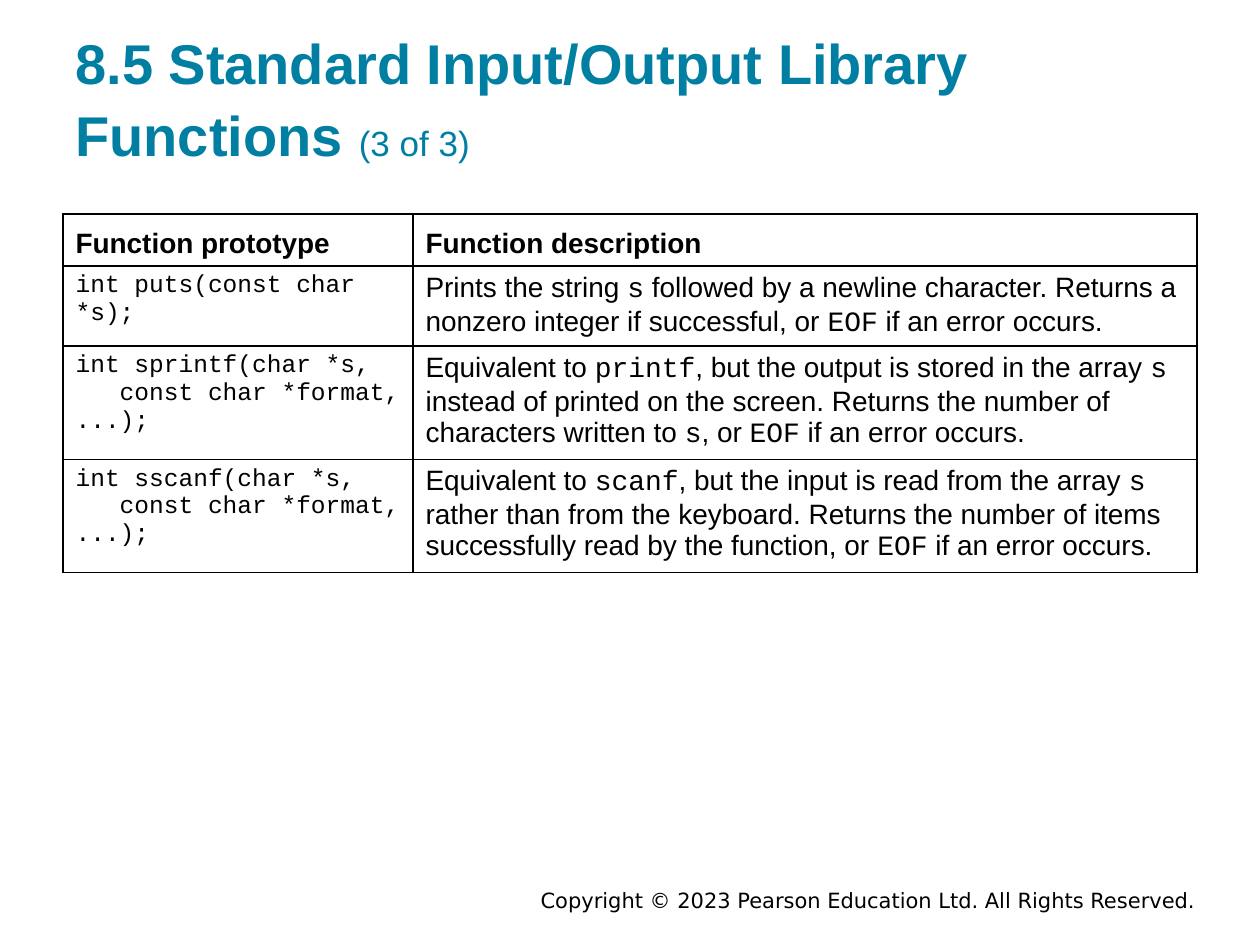
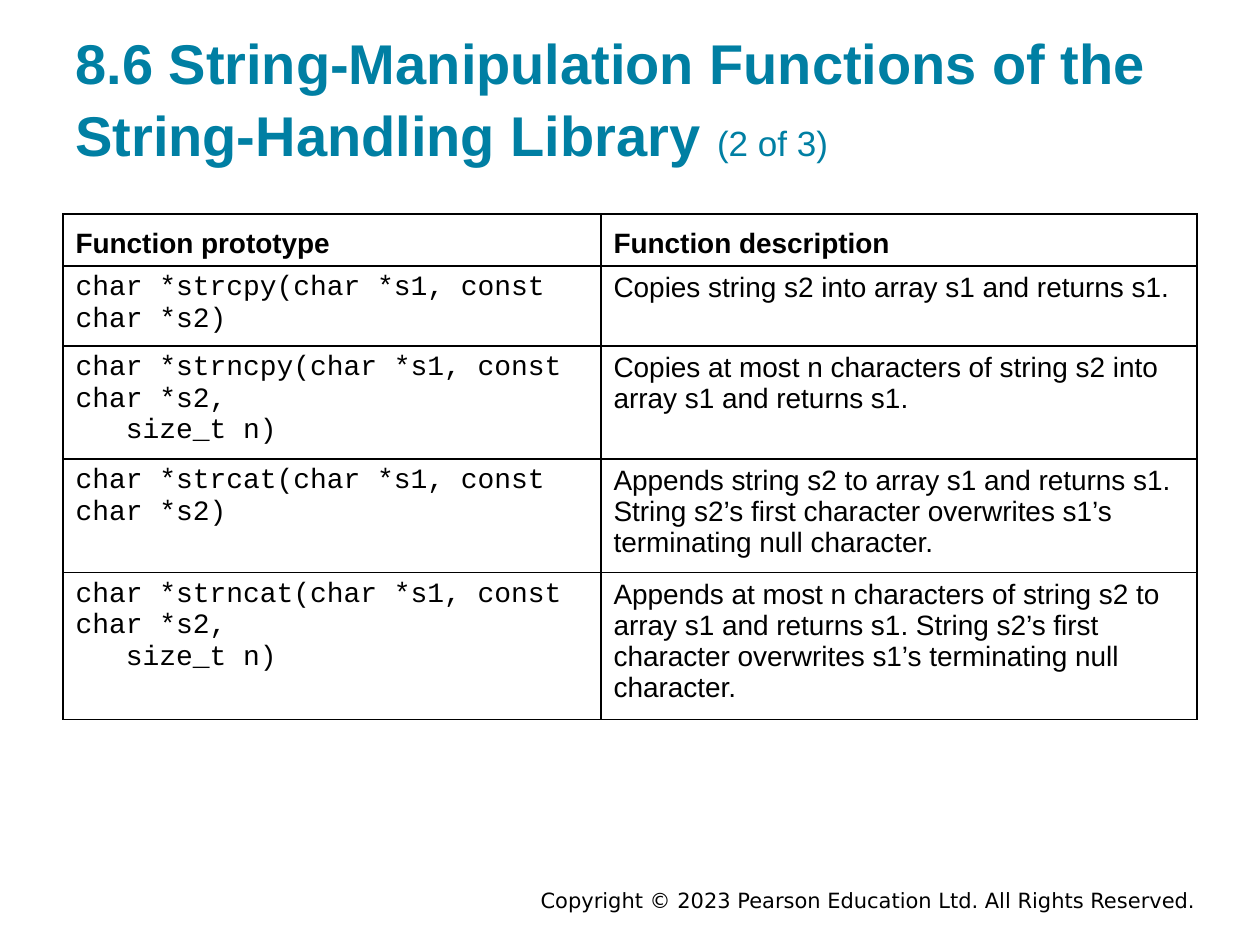
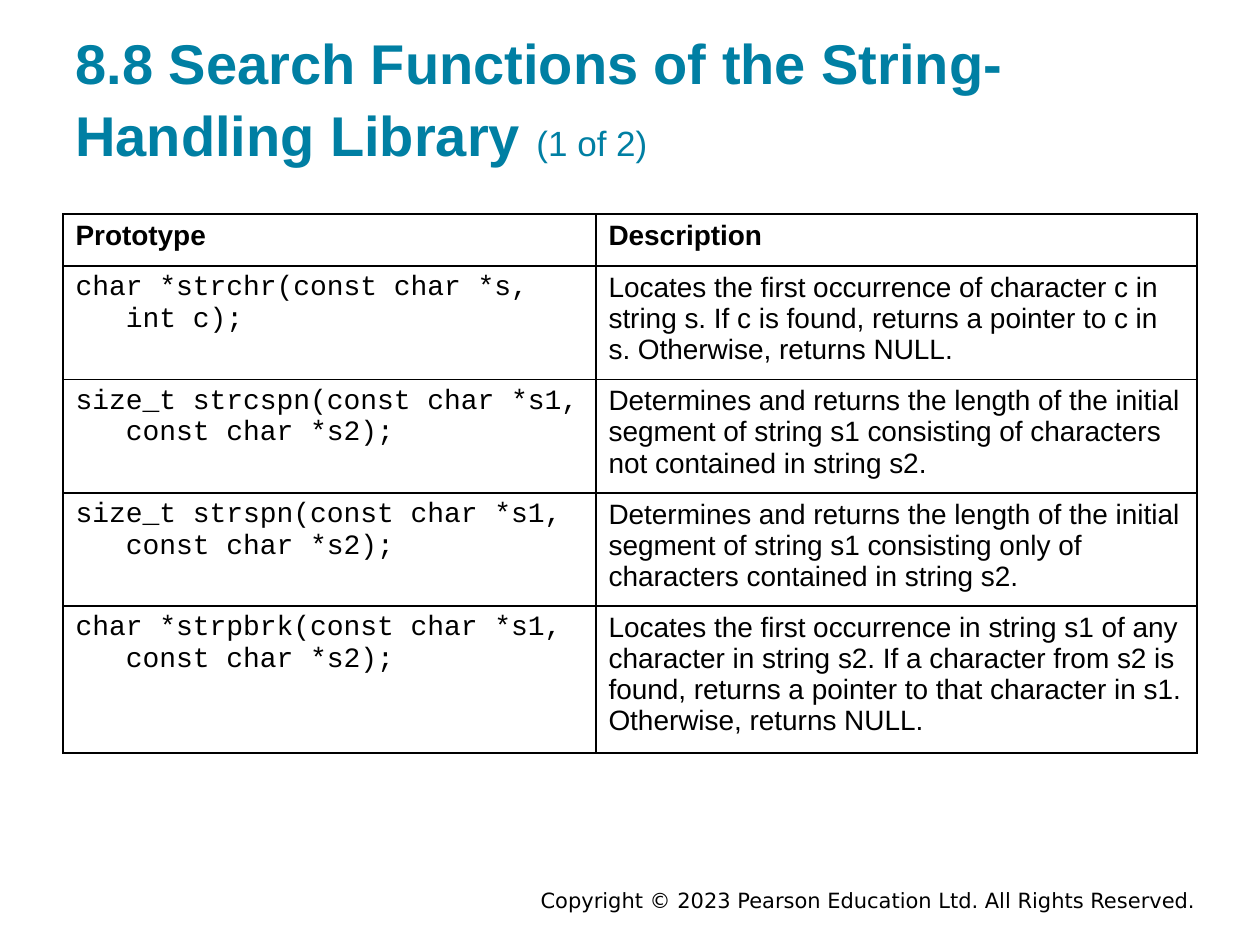
from lxml.etree import SubElement
from pptx import Presentation
from pptx.dml.color import RGBColor
from pptx.enum.text import MSO_ANCHOR, PP_ALIGN
from pptx.oxml.ns import qn
from pptx.util import Pt

PX = 914400 / 126
SANS, MONO, FOOTER_FONT = "Arial", "Courier New", "DejaVu Sans"
TEAL, BLACK, WHITE = "007FA3", "000000", "FFFFFF"
COPYRIGHT = "Copyright © 2023 Pearson Education Ltd. All Rights Reserved."

TITLE_BOX = (63, 30, 1134, 151)
FOOTER_BOX = (221, 886, 987, 28)
TABLE_LEFT, TABLE_TOP, TABLE_WIDTH = 63, 214, 1134
HEADER_HEIGHT = 52

# Words between backticks in a description are set in the code font.
SLIDES = [
    {
        "title": "8.5 Standard Input/Output Library Functions ",
        "part": "(3 of 3)",
        "header": ("Function prototype", "Function description"),
        "header_anchor": MSO_ANCHOR.BOTTOM,
        "prototype_width": 350,
        "code_size": 14,
        "functions": [
            (80, "int puts(const char *s);",
             "Prints the string `s` followed by a newline character. Returns a "
             "nonzero integer if successful, or `EOF` if an error occurs."),
            (111, "int sprintf(char *s, \n   const char *format, ...);",
             "Equivalent to `printf`, but the output is stored in the array `s` "
             "instead of printed on the screen. Returns the number of characters "
             "written to `s`, or `EOF` if an error occurs."),
            (111, "int sscanf(char *s, \n   const char *format, ...);",
             "Equivalent to `scanf`, but the input is read from the array `s` "
             "rather than from the keyboard. Returns the number of items "
             "successfully read by the function, or `EOF` if an error occurs."),
        ],
    },
    {
        "title": "8.6 String-Manipulation Functions of the String-Handling Library ",
        "part": "(2 of 3)",
        "header": ("Function prototype", "Function description"),
        "header_anchor": MSO_ANCHOR.BOTTOM,
        "prototype_width": 538,
        "code_size": 16,
        "functions": [
            (76, "char *strcpy(char *s1, const char *s2)",
             "Copies string s2 into array s1 and returns s1."),
            (107, "char *strncpy(char *s1, const char *s2,\n   size_t n)",
             "Copies at most n characters of string s2 into array s1 and returns s1."),
            (106, "char *strcat(char *s1, const char *s2)",
             "Appends string s2 to array s1 and returns s1. String s2’s first "
             "character overwrites s1’s terminating null character."),
            (137, "char *strncat(char *s1, const char *s2,\n   size_t n)",
             "Appends at most n characters of string s2 to array s1 and returns s1. "
             "String s2’s first character overwrites s1’s terminating null character."),
        ],
    },
    {
        "title": "8.8 Search Functions of the String-Handling Library ",
        "part": "(1 of 2)",
        "header": ("Prototype", "Description"),
        "header_anchor": MSO_ANCHOR.TOP,
        "prototype_width": 533,
        "code_size": 16,
        "functions": [
            (106, "char *strchr(const char *s,\n   int c);",
             "Locates the first occurrence of character c in string s. If c is "
             "found, returns a pointer to c in s. Otherwise, returns NULL."),
            (106, "size_t strcspn(const char *s1,\n   const char *s2);",
             "Determines and returns the length of the initial segment of string "
             "s1 consisting of characters not contained in string s2."),
            (106, "size_t strspn(const char *s1,\n   const char *s2);",
             "Determines and returns the length of the initial segment of string "
             "s1 consisting only of characters contained in string s2."),
            (137, "char *strpbrk(const char *s1,\n   const char *s2);",
             "Locates the first occurrence in string s1 of any character in string "
             "s2. If a character from s2 is found, returns a pointer to that "
             "character in s1. Otherwise, returns NULL."),
        ],
    },
]


def px(length):
    return round(length * PX)


def rgb(color):
    return RGBColor.from_string(color)


def set_font(font, name, size, color=BLACK, bold=False):
    font.name, font.size, font.bold = name, Pt(size), bold
    font.color.rgb = rgb(color)


def add_text_box(slide, box, anchor, inset_y):
    """Add a wrapping text box and return its first paragraph."""
    frame = slide.shapes.add_textbox(*map(px, box)).text_frame
    frame.word_wrap = True
    frame.vertical_anchor = anchor
    frame.margin_top = frame.margin_bottom = px(inset_y)
    return frame.paragraphs[0]


def add_title(slide, title, part):
    heading = add_text_box(slide, TITLE_BOX, MSO_ANCHOR.BOTTOM, 13)
    heading.line_spacing = 1.08
    set_font(heading.font, SANS, 32, TEAL, bold=True)
    heading.add_run().text = title
    counter = heading.add_run()
    counter.text = part
    counter.font.size, counter.font.bold = Pt(20), False


def add_footer(slide):
    footer = add_text_box(slide, FOOTER_BOX, MSO_ANCHOR.MIDDLE, 6)
    footer.text = COPYRIGHT
    footer.alignment = PP_ALIGN.RIGHT
    set_font(footer.font, FOOTER_FONT, 12)


def style_cell(cell):
    """Give a cell thin black borders on all sides and a white fill."""
    properties = cell._tc.get_or_add_tcPr()
    for side in ("lnL", "lnR", "lnT", "lnB"):
        border = SubElement(properties, qn(f"a:{side}"), w=str(Pt(1)))
        fill = SubElement(border, qn("a:solidFill"))
        SubElement(fill, qn("a:srgbClr"), val=BLACK)
    cell.fill.solid()
    cell.fill.fore_color.rgb = rgb(WHITE)


def write_cell(cell, text, name, size, bold=False):
    paragraph = cell.text_frame.paragraphs[0]
    paragraph.text = text
    set_font(paragraph.font, name, size, bold=bold)


def write_description(cell, description):
    paragraph = cell.text_frame.paragraphs[0]
    set_font(paragraph.font, SANS, 16)
    for index, piece in enumerate(description.split("`")):
        run = paragraph.add_run()
        run.text = piece
        if index % 2:
            run.font.name = MONO


def add_function_table(slide, content):
    functions = content["functions"]
    heights = [HEADER_HEIGHT] + [height for height, _, _ in functions]
    table = slide.shapes.add_table(
        len(heights), 2, px(TABLE_LEFT), px(TABLE_TOP),
        px(TABLE_WIDTH), px(sum(heights))).table
    table.first_row = table.horz_banding = False
    table.columns[0].width = px(content["prototype_width"])
    table.columns[1].width = px(TABLE_WIDTH - content["prototype_width"])
    for row, height in zip(table.rows, heights):
        row.height = px(height)
    for cell in table.iter_cells():
        style_cell(cell)
    for column, label in enumerate(content["header"]):
        cell = table.cell(0, column)
        cell.vertical_anchor = content["header_anchor"]
        write_cell(cell, label, SANS, 16, bold=True)
    for row, (_, prototype, description) in enumerate(functions, start=1):
        write_cell(table.cell(row, 0), prototype, MONO, content["code_size"])
        write_description(table.cell(row, 1), description)


def main():
    presentation = Presentation()
    presentation.slide_width, presentation.slide_height = px(1260), px(945)
    for content in SLIDES:
        slide = presentation.slides.add_slide(presentation.slide_layouts[6])
        add_footer(slide)
        add_title(slide, content["title"], content["part"])
        add_function_table(slide, content)
    presentation.save("out.pptx")


if __name__ == "__main__":
    main()
